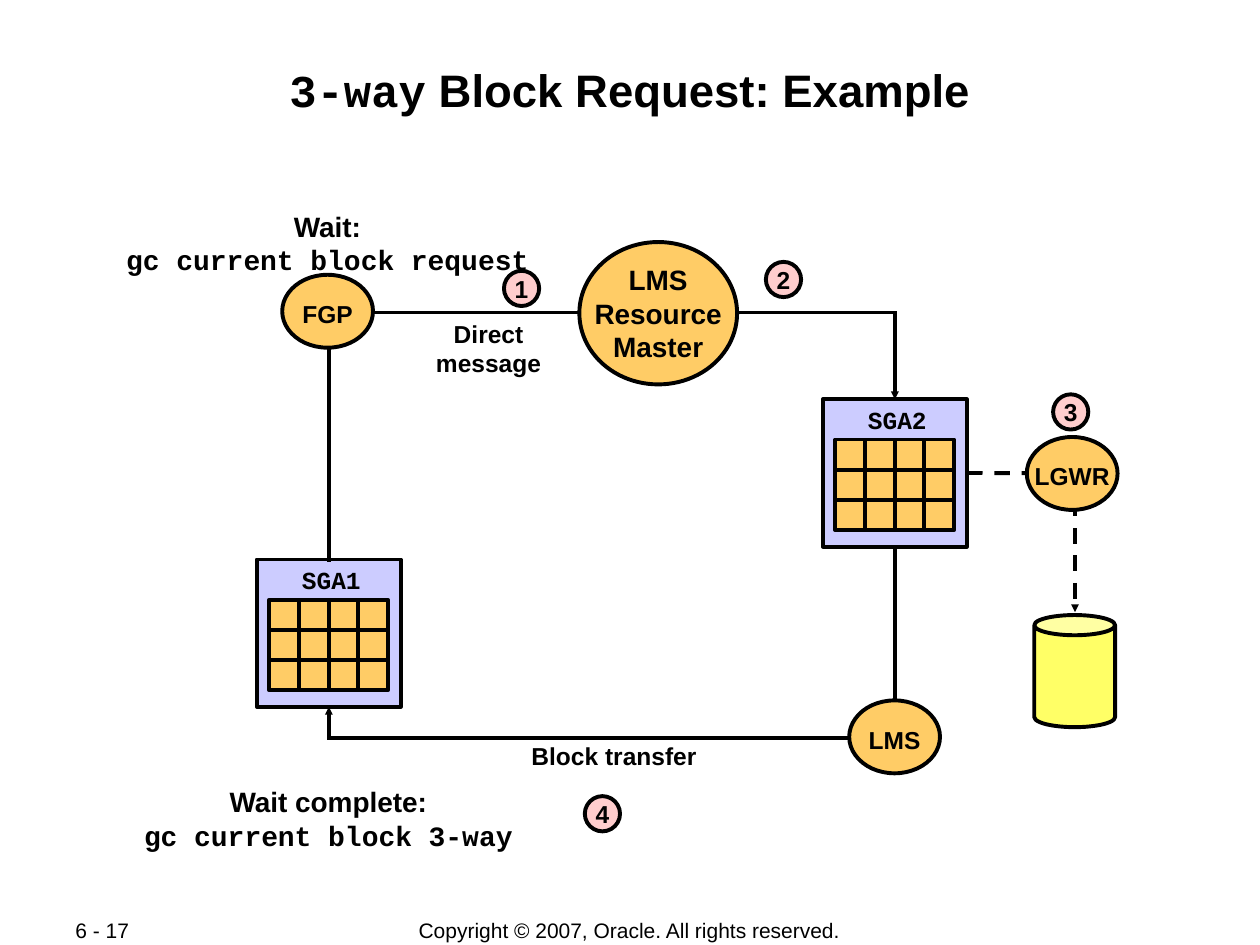
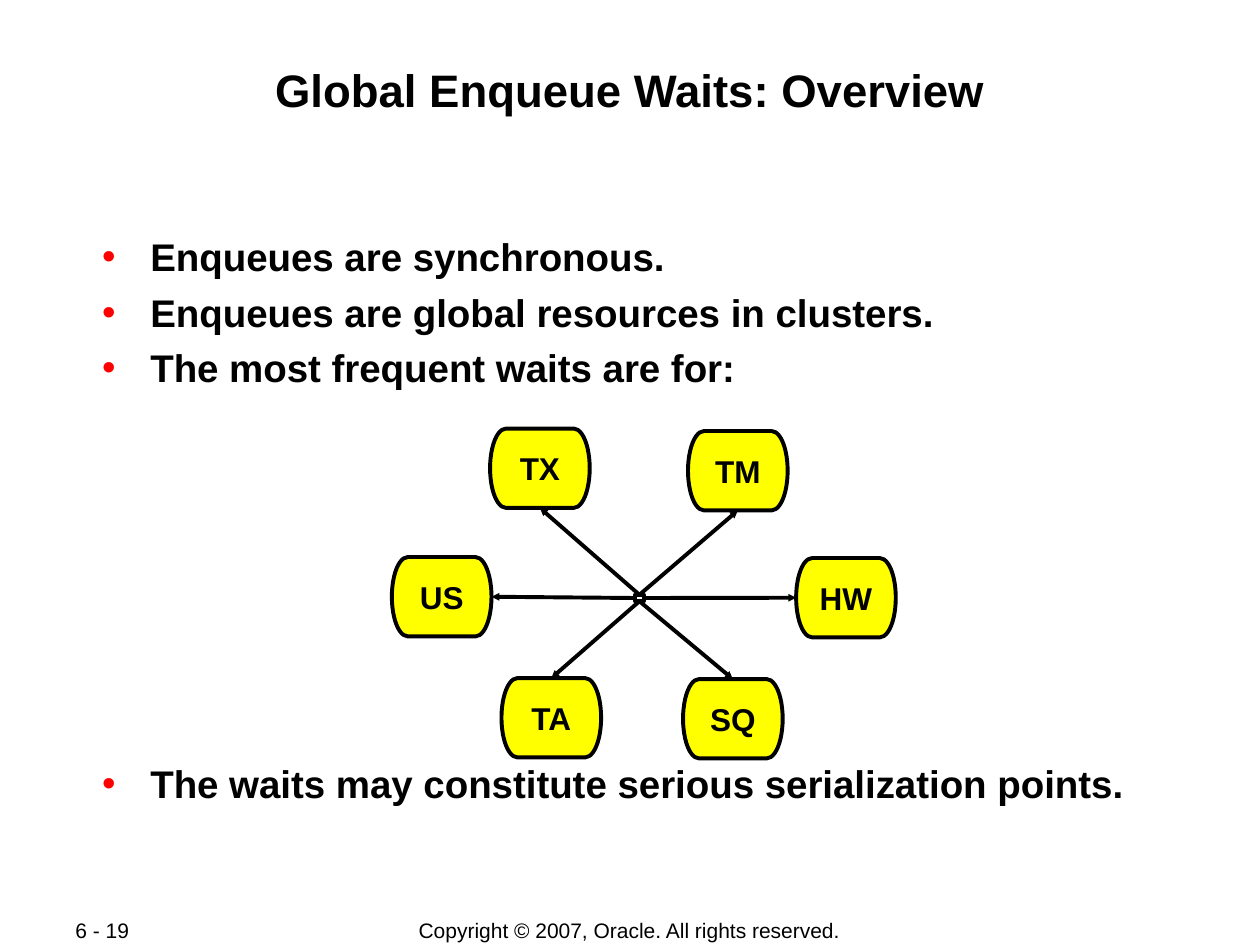
"""Build two slides on block requests and global enqueue waits."""
from lxml import etree
from pptx import Presentation
from pptx.dml.color import RGBColor
from pptx.enum.dml import MSO_LINE
from pptx.enum.shapes import MSO_CONNECTOR, MSO_SHAPE
from pptx.enum.text import MSO_ANCHOR, MSO_AUTO_SIZE, PP_ALIGN
from pptx.oxml.ns import qn
from pptx.util import Cm, Pt

BLACK = RGBColor(0x00, 0x00, 0x00)
RED = RGBColor(0xFF, 0x00, 0x00)
ORANGE = RGBColor(0xFF, 0xCC, 0x66)
LILAC = RGBColor(0xCC, 0xCC, 0xFF)
PINK = RGBColor(0xFF, 0xCD, 0xCD)
PALE_YELLOW = RGBColor(0xFF, 0xFF, 0x66)
YELLOW = RGBColor(0xFF, 0xFF, 0x00)

SANS, MONO = "Arial", "Courier New"
LINE_WIDTH = Pt(2.25)
COPYRIGHT = "Copyright © 2007, Oracle. All rights reserved."

RECTANGLE, ELLIPSE, CAN = MSO_SHAPE.RECTANGLE, MSO_SHAPE.OVAL, MSO_SHAPE.CAN
TERMINATOR = MSO_SHAPE.FLOWCHART_TERMINATOR
STRAIGHT = MSO_CONNECTOR.STRAIGHT
DASH = MSO_LINE.DASH
CENTER, LEFT_ALIGN = PP_ALIGN.CENTER, PP_ALIGN.LEFT
TOP_ANCHOR, MIDDLE_ANCHOR = MSO_ANCHOR.TOP, MSO_ANCHOR.MIDDLE
NO_AUTOSIZE = MSO_AUTO_SIZE.NONE
TOP, LEFT, BOTTOM, RIGHT = range(4)

NODE_SIZE = (1.83, 1.47)
BADGE_SIZE = (0.71, 0.71)
SGA_WIDTH, SGA_HEIGHT = 2.9, 2.97
LOCK_SIZE = (2.01, 1.6)


def format_font(font, size, bold=True, name=SANS):
    """Apply the deck's black type."""
    font.size, font.bold, font.name = Pt(size), bold, name
    font.color.rgb = BLACK


def set_frame(frame, anchor, inset=0.0, wrap=True):
    """Set the margins, anchor and wrapping of a text frame."""
    frame.auto_size = NO_AUTOSIZE
    frame.word_wrap = wrap
    frame.vertical_anchor = anchor
    frame.margin_left = frame.margin_right = Cm(inset)
    frame.margin_top = frame.margin_bottom = Cm(inset)


def write_lines(frame, lines, size, bold=True, align=CENTER):
    """Write (text, font name) pairs, one paragraph each."""
    for index, (text, name) in enumerate(lines):
        paragraph = frame.add_paragraph() if index else frame.paragraphs[0]
        paragraph.text = text
        paragraph.alignment = align
        paragraph.space_before = Pt(0)
        format_font(paragraph.font, size, bold, name)


def add_label(slide, center, size, lines, points, bold=True, align=CENTER):
    """Add a text box around a centre point."""
    (x, y), (width, height) = center, size
    box = slide.shapes.add_textbox(Cm(x - width / 2), Cm(y - height / 2), Cm(width), Cm(height))
    set_frame(box.text_frame, MIDDLE_ANCHOR)
    write_lines(box.text_frame, lines, points, bold, align)


def add_outlined(slide, kind, position, size, fill=None, lines=(), points=14):
    """Add a black-outlined shape with optional centred text."""
    shape = slide.shapes.add_shape(kind, *map(Cm, position + size))
    shape.shadow.inherit = False
    if fill is None:
        shape.fill.background()
    else:
        shape.fill.solid()
        shape.fill.fore_color.rgb = fill
    shape.line.color.rgb = BLACK
    shape.line.width = LINE_WIDTH
    if lines:
        set_frame(shape.text_frame, MIDDLE_ANCHOR, wrap=False)
        write_lines(shape.text_frame, [(line, SANS) for line in lines], points)
    return shape


def add_line(slide, start, end, dashed=False, arrow=False):
    """Add a straight black connector."""
    connector = slide.shapes.add_connector(STRAIGHT, *map(Cm, start + end))
    line = connector.line
    line.color.rgb = BLACK
    line.width = LINE_WIDTH
    properties = connector._element.spPr
    outline = properties.find(qn("a:ln"))
    if dashed:
        line.dash_style = DASH
    elif not arrow:
        outline.set("cap", "sq")
    if arrow:
        etree.SubElement(outline, qn("a:tailEnd"), type="triangle", w="sm", len="sm")
    etree.SubElement(properties, qn("a:effectLst"))
    return connector


def add_route(slide, points, start, end=None, dashed=False):
    """Draw a bent arrow; start and end are (shape, side) joints."""
    last = len(points) - 2
    segments = [add_line(slide, *pair, dashed=dashed, arrow=index == last)
                for index, pair in enumerate(zip(points, points[1:]))]
    segments[0].begin_connect(*start)
    if end:
        segments[-1].end_connect(*end)


def add_sga(slide, name, left, top):
    """Add a memory area with its name and a grid of blocks."""
    area = add_outlined(slide, RECTANGLE, (left, top), (SGA_WIDTH, SGA_HEIGHT), LILAC)
    frame = area.text_frame
    set_frame(frame, TOP_ANCHOR)
    frame.margin_left, frame.margin_top = Cm(0.1), Cm(0.11)
    write_lines(frame, [(name, MONO)], 14)
    grid_left, grid_top, width, height = left + 0.25, top + 0.81, 2.39, 1.83
    add_outlined(slide, RECTANGLE, (grid_left, grid_top), (width, height), ORANGE)
    for column in range(1, 4):
        x = grid_left + column * width / 4
        add_line(slide, (x, grid_top), (x, grid_top + height))
    for row in range(1, 3):
        y = grid_top + row * height / 3
        add_line(slide, (grid_left, y), (grid_left + width, y))
    return area


def add_slide(presentation, layout, title_runs, page):
    """Add a slide with its title, page label and copyright line."""
    slide = presentation.slides.add_slide(presentation.slide_layouts[layout])
    title = slide.shapes.title
    title.left, title.top, title.width, title.height = map(Cm, (1.7, 1.22, 22, 2.44))
    set_frame(title.text_frame, TOP_ANCHOR, 0.03)
    paragraph = title.text_frame.paragraphs[0]
    paragraph.alignment = CENTER
    format_font(paragraph.font, 26)
    for text, name in title_runs:
        run = paragraph.add_run()
        run.text = text
        run.font.name = name
    add_label(slide, (12.69, 18.76), (11.4, 0.53), [(COPYRIGHT, SANS)], 12, False)
    add_label(slide, (2.87, 18.76), (2.7, 0.53), [(page, SANS)], 12, False, LEFT_ALIGN)
    return slide


def add_bullets(slide, items):
    """Fill the body placeholder with (text, space before) bullets."""
    body = slide.placeholders[1]
    body.left, body.top, body.width, body.height = map(Cm, (1.7, 4.67, 22, 11.63))
    frame = body.text_frame
    set_frame(frame, TOP_ANCHOR, 0.03)
    for index, (text, space) in enumerate(items):
        paragraph = frame.add_paragraph() if index else frame.paragraphs[0]
        paragraph.text = text
        paragraph.space_before = Pt(space)
        properties = paragraph._p.get_or_add_pPr()
        properties.set("marL", str(Cm(1.3)))
        properties.set("indent", str(Cm(-0.97)))
        color = etree.SubElement(properties, qn("a:buClr"))
        etree.SubElement(color, qn("a:srgbClr"), val=str(RED))
        etree.SubElement(properties, qn("a:buFont"), typeface=SANS)
        etree.SubElement(properties, qn("a:buChar"), char="•")
        format_font(paragraph.font, 22)


def build_block_request(presentation):
    """Build the three-way block request diagram."""
    slide = add_slide(presentation, 5, [("3-way", MONO), (" Block Request: Example", SANS)], "6 - 17")
    sga1 = add_sga(slide, "SGA1", 5.18, 11.28)
    sga2 = add_sga(slide, "SGA2", 16.59, 8.05)
    disk = add_outlined(slide, CAN, (20.85, 12.4), (1.63, 2.26), PALE_YELLOW)
    disk.adjustments[0] = 0.25

    sga1_x, sga2_x, disk_x = 6.63, 18.04, 21.67
    request_y, transfer_y, log_y = 6.3, 14.88, 9.54
    add_route(slide, [(sga1_x, 11.28), (sga1_x, request_y), (sga2_x, request_y), (sga2_x, 8.05)],
              (sga1, TOP), (sga2, TOP))
    add_route(slide, [(sga2_x, 11.02), (sga2_x, transfer_y), (sga1_x, transfer_y), (sga1_x, 14.25)],
              (sga2, BOTTOM), (sga1, BOTTOM))
    add_route(slide, [(19.49, log_y), (disk_x, log_y), (disk_x, 12.34)], (sga2, RIGHT), dashed=True)

    for name, position in (("FGP", (5.69, 5.54)), ("LGWR", (20.7, 8.81)), ("LMS", (17.12, 14.12))):
        node = add_outlined(slide, ELLIPSE, position, NODE_SIZE, ORANGE, [name])
        node.text_frame.margin_top = Cm(0.1)
    add_outlined(slide, ELLIPSE, (11.68, 4.88), (3.18, 2.87), ORANGE, ["LMS", "Resource", "Master"], 16)

    add_label(slide, (6.6, 4.9), (8.6, 1.63), [("Wait:", SANS), ("gc current block request", MONO)], 16)
    add_label(slide, (6.62, 16.5), (8.6, 1.63),
              [("Wait complete:", SANS), ("gc current block 3-way", MONO)], 16)
    add_label(slide, (9.85, 7.02), (2.77, 1.45), [("Direct", SANS), ("message", SANS)], 14)
    add_label(slide, (12.38, 15.24), (3.84, 0.86), [("Block transfer", SANS)], 14)

    badges = ((10.16, 5.46), (15.44, 5.28), (21.23, 7.95), (11.79, 16.05))
    for number, position in enumerate(badges, 1):
        add_outlined(slide, ELLIPSE, position, BADGE_SIZE, PINK, [str(number)])


def build_enqueue_waits(presentation):
    """Build the overview of global enqueue waits."""
    slide = add_slide(presentation, 1, [("Global Enqueue Waits: Overview", SANS)], "6 - 19")
    add_bullets(slide, [
        ("Enqueues are synchronous.", 0),
        ("Enqueues are global resources in clusters.", 5.3),
        ("The most frequent waits are for:", 5.3),
        ("The waits may constitute serious serialization points.", 211.2),
    ])
    hub_center = (12.89, 12.05)
    hub = add_outlined(slide, RECTANGLE, (12.8, 11.99), (0.18, 0.13))
    locks = (
        ("TX", (9.88, 8.64), TOP),
        ("TM", (13.87, 8.69), TOP),
        ("HW", (16.05, 11.25), RIGHT),
        ("SQ", (13.77, 13.69), BOTTOM),
        ("TA", (10.11, 13.67), BOTTOM),
        ("US", (7.9, 11.23), LEFT),
    )
    for name, position, hub_side in locks:
        lock = add_outlined(slide, TERMINATOR, position, LOCK_SIZE, YELLOW, [name], 18)
        arrow = add_line(slide, hub_center, position, arrow=True)
        arrow.begin_connect(hub, hub_side)
        arrow.end_connect(lock, (hub_side + 2) % 4)


def main():
    """Build and save the presentation."""
    presentation = Presentation()
    presentation.slide_width, presentation.slide_height = Cm(25.4), Cm(19.05)
    build_block_request(presentation)
    build_enqueue_waits(presentation)
    presentation.save("out.pptx")


if __name__ == "__main__":
    main()
